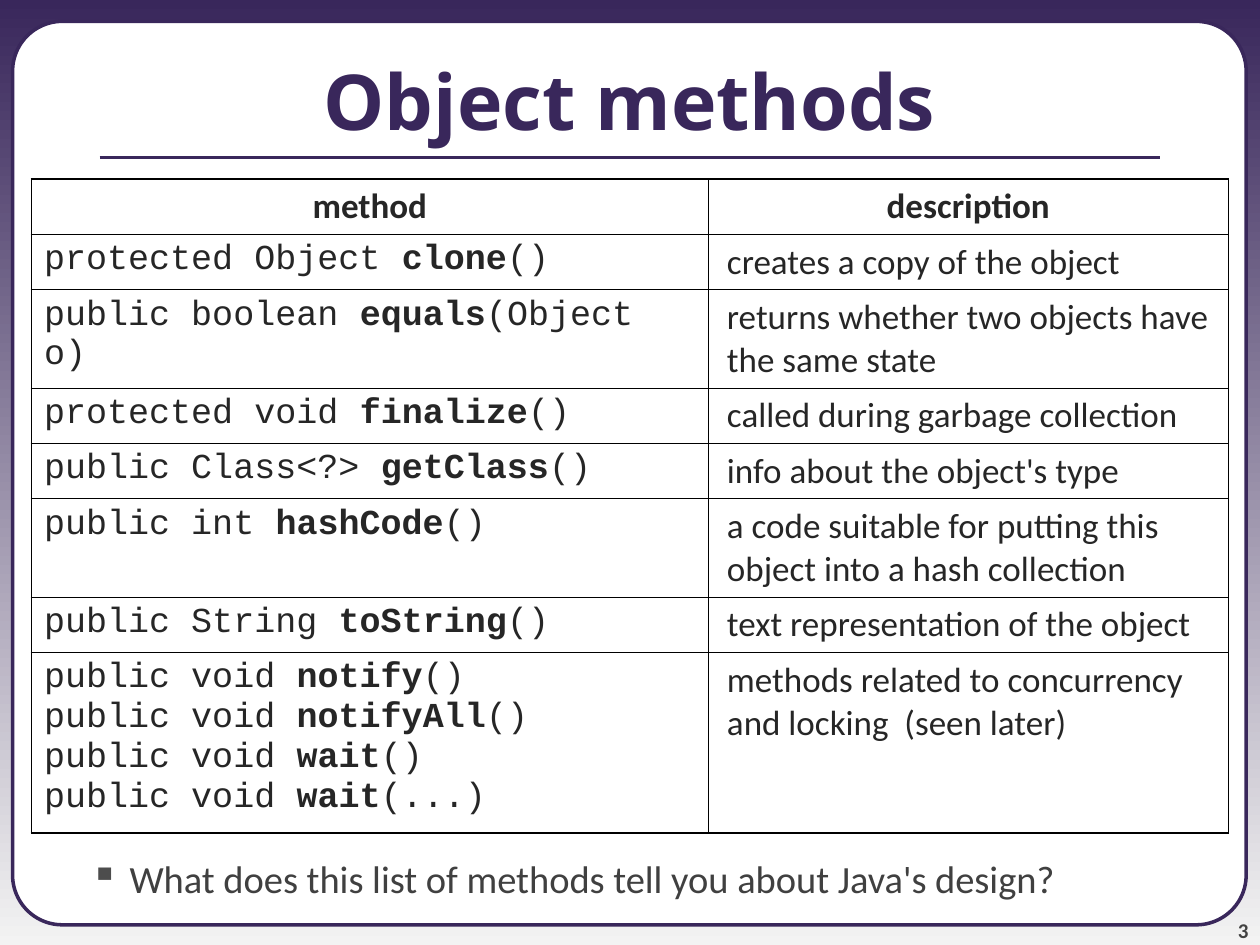
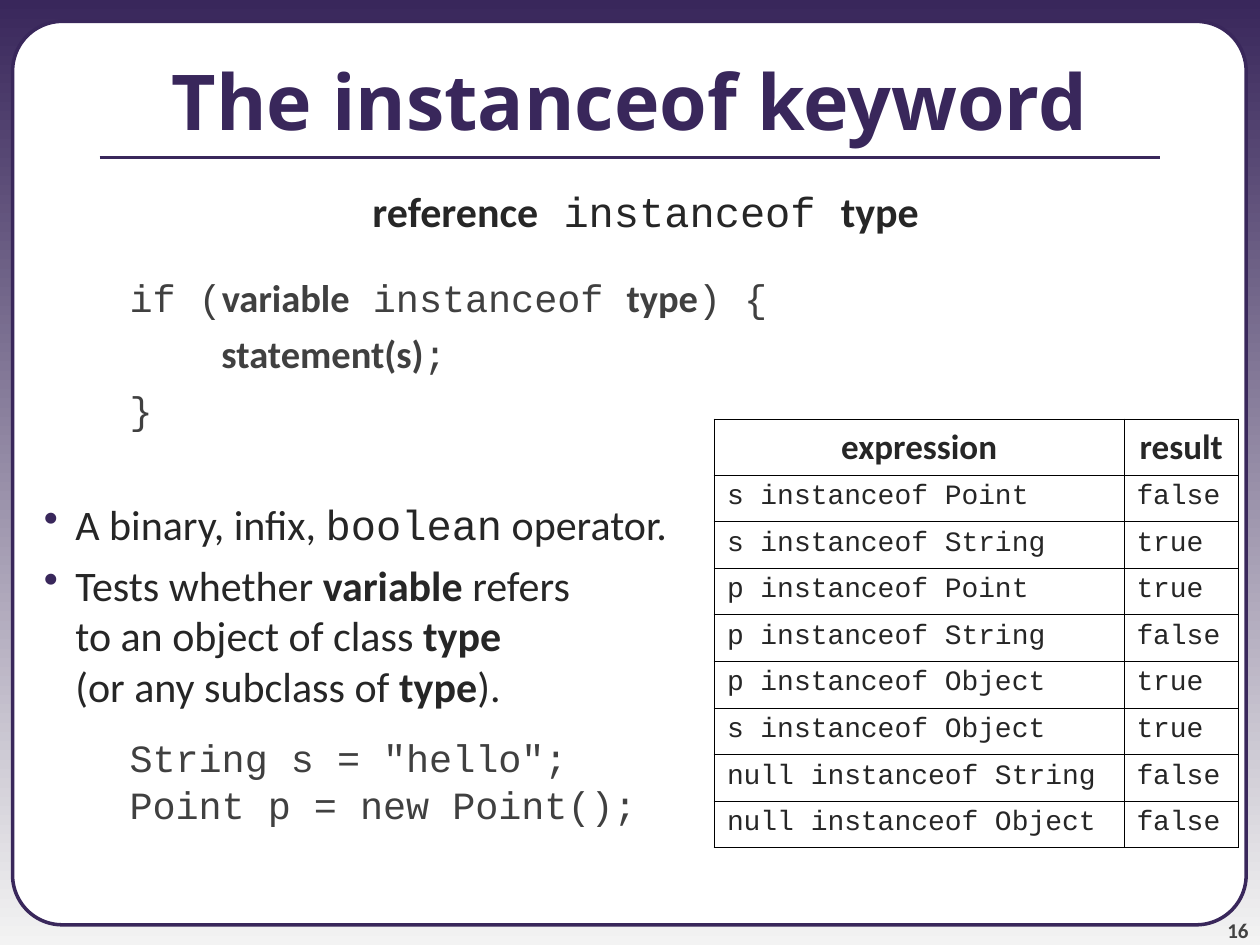
"""Build two slides on Java's Object methods and the instanceof keyword."""
from lxml.etree import SubElement as Sub
from pptx import Presentation
from pptx.dml.color import RGBColor
from pptx.enum.shapes import MSO_CONNECTOR as Line, MSO_SHAPE as Shape
from pptx.enum.text import MSO_ANCHOR as Anchor, PP_ALIGN as Align
from pptx.oxml.ns import qn
from pptx.util import Inches, Pt

rgb = RGBColor.from_string
PLUM, DARK, GREY, PALE = "39275B", "262626", "404040", "F3F3F3"
SANS, CODE = "Calibri", "Courier New"


def write(para, text, size, ink=DARK, face=SANS, gap=0.0, align=Align.LEFT):
    """Fill a paragraph; *stars* mark bold and `ticks` mark code."""
    para.alignment, para.space_before = align, Pt(gap)
    font = para.font
    font.size, font.name, font.color.rgb = Pt(size), face, rgb(ink)
    for row, line in enumerate(text.split("\n")):
        if row:
            para.add_line_break()
        for i, part in enumerate(line.split("*")):
            for j, bit in enumerate(part.split("`")):
                if bit:
                    run = para.add_run()
                    run.text = bit
                    if i % 2:
                        run.font.bold = True
                    if j % 2:
                        run.font.name = CODE


def indent(para, left, hang=0.0, mark="", ink=PLUM):
    """Set the left margin and, if given, a hanging bullet."""
    props = para._p.get_or_add_pPr()
    props.set("marL", str(Inches(left)))
    props.set("indent", str(-Inches(hang)))
    if mark:
        Sub(Sub(props, qn("a:buClr")), qn("a:srgbClr")).set("val", ink)
        Sub(props, qn("a:buChar")).set("char", mark)


deck = Presentation()
deck.slide_width, deck.slide_height = Inches(10), Inches(7.5)
layout = deck.slide_layouts[5]
fill = layout.background.fill
fill.gradient()
fill.gradient_angle = 270
for stop, ink in zip(fill.gradient_stops, (PLUM, PALE)):
    stop.color.rgb = rgb(ink)

pages = [
    dict(title="Object methods", num="3", at=(0.25, 1.42), cols=(5.37, 4.13),
         rows=(0.44, 0.44, 0.78, 0.44, 0.44, 0.78, 0.44, 1.36),
         size=20, gap=5, faces=(CODE, SANS), pads=(0, 0.05),
         cells=[
             ("*method*", "*description*"),
             ("protected Object *clone*()", "creates a copy of the object"),
             ("public boolean *equals*(Object o)",
              "returns whether two objects have the same state"),
             ("protected void *finalize*()", "called during garbage collection"),
             ("public Class<?> *getClass*()", "info about the object's type"),
             ("public int *hashCode*()",
              "a code suitable for putting this object into a hash collection"),
             ("public String *toString*()", "text representation of the object"),
             ("public void *notify*()\npublic void *notifyAll*()\n"
              "public void *wait*()\npublic void *wait*(...)",
              "methods related to concurrency and locking  (seen later)"),
         ]),
    dict(title="The instanceof keyword", num="16", at=(5.67, 3.33),
         cols=(3.25, 0.91), rows=(0.44,) + (0.37,) * 8,
         size=16, gap=4, faces=(CODE, CODE), pads=(0, 0),
         cells=[
             ("*expression*", "*result*"),
             ("s instanceof Point", "false"),
             ("s instanceof String", "true"),
             ("p instanceof Point", "true"),
             ("p instanceof String", "false"),
             ("p instanceof Object", "true"),
             ("s instanceof Object", "true"),
             ("null instanceof String", "false"),
             ("null instanceof Object", "false"),
         ]),
]

slides = [deck.slides.add_slide(layout) for page in pages]

frame = slides[0].shapes.add_shape(
    Shape.ROUNDED_RECTANGLE, Inches(0.1), Inches(0.17), Inches(9.79), Inches(7.17))
frame.adjustments[0] = 0.055
frame.shadow.inherit = False
frame.fill.solid()
frame.fill.fore_color.rgb = rgb("FFFFFF")
rule = slides[0].shapes.add_connector(
    Line.STRAIGHT, Inches(0.79), Inches(1.25), Inches(9.21), Inches(1.25))
Sub(rule._element.spPr, qn("a:effectLst"))
for part, width in ((frame, 2), (rule, 2.25)):
    part.line.color.rgb = rgb(PLUM)
    part.line.width = Pt(width)
    layout.shapes._spTree.append(part._element)

for slide, page in zip(slides, pages):
    title = slide.shapes.title
    title.left, title.top = Inches(0), Inches(0.17)
    title.width, title.height = Inches(10), Inches(1.25)
    title.text_frame.vertical_anchor = Anchor.MIDDLE
    write(title.text_frame.paragraphs[0], f"*{page['title']}*", 44, PLUM,
          "Open Sans", align=Align.CENTER)

    num = slide.shapes.add_textbox(
        Inches(9.08), Inches(7.08), Inches(0.83), Inches(0.4)).text_frame
    num.margin_left = num.margin_right = num.margin_top = num.margin_bottom = 0
    num.vertical_anchor = Anchor.BOTTOM
    num.word_wrap = True
    write(num.paragraphs[0], f"*{page['num']}*", 12, "424242", align=Align.RIGHT)

    cols, rows = page["cols"], page["rows"]
    x, y = page["at"]
    grid = slide.shapes.add_table(
        len(rows), len(cols), Inches(x), Inches(y),
        Inches(sum(cols)), Inches(sum(rows))).table
    grid.first_row = grid.horz_banding = False
    for col, width in zip(grid.columns, cols):
        col.width = Inches(width)
    for r, (row, height) in enumerate(zip(grid.rows, rows)):
        row.height = Inches(height)
        for c, cell in enumerate(row.cells):
            para = cell.text_frame.paragraphs[0]
            text = page["cells"][r][c]
            if r:
                indent(para, page["pads"][c])
                write(para, text, page["size"], face=page["faces"][c], gap=page["gap"])
            else:
                write(para, text, 20, gap=5, align=Align.CENTER)
            props = cell._tc.get_or_add_tcPr()
            outer = dict(L=c == 0, R=c == len(cols) - 1, T=r == 0, B=r == len(rows) - 1)
            for side, edge in outer.items():
                line = Sub(props, qn(f"a:ln{side}"))
                line.set("w", str(Pt(1.08 if edge else 0.45)))
                Sub(Sub(line, qn("a:solidFill")), qn("a:srgbClr")).set("val", "000000")
            cell.fill.background()

ask = slides[0].shapes.add_textbox(
    Inches(0), Inches(6.74), Inches(10), Inches(0.45)).text_frame
ask.word_wrap = True
indent(ask.paragraphs[0], 0.93, 0.31, "▪", "4D4D4D")
write(ask.paragraphs[0],
      "What does this list of methods tell you about Java's design?", 22, GREY)

body = slides[1].shapes.add_textbox(
    Inches(0), Inches(1.42), Inches(10), Inches(6.08)).text_frame
body.word_wrap = True
para = body.paragraphs[0]
indent(para, 0.25)
write(para, "*reference*` instanceof `*type*", 24, gap=6, align=Align.CENTER)
for text, left, gap in (
        ("`if (`*variable*` instanceof `*type*`) {`", 0.93, 22),
        ("*statement(s)*`;`", 1.66, 5.5),
        ("`}`", 0.93, 5.5)):
    para = body.add_paragraph()
    indent(para, left)
    write(para, text, 22, GREY, gap=gap)
for text, gap in (
        ("A binary, infix, `boolean` operator.", 38),
        ("Tests whether *variable* refers\nto an object of class *type*\n"
         "(or any subclass of *type*).", 6)):
    para = body.add_paragraph()
    indent(para, 0.5, 0.25, "•")
    write(para, text, 24, gap=gap)
for text, gap in (('String s = "hello";', 18.7), ("Point p = new Point();", 5.5)):
    para = body.add_paragraph()
    indent(para, 0.93)
    para.line_spacing = 0.8
    write(para, text, 22, GREY, CODE, gap)

deck.save("out.pptx")
